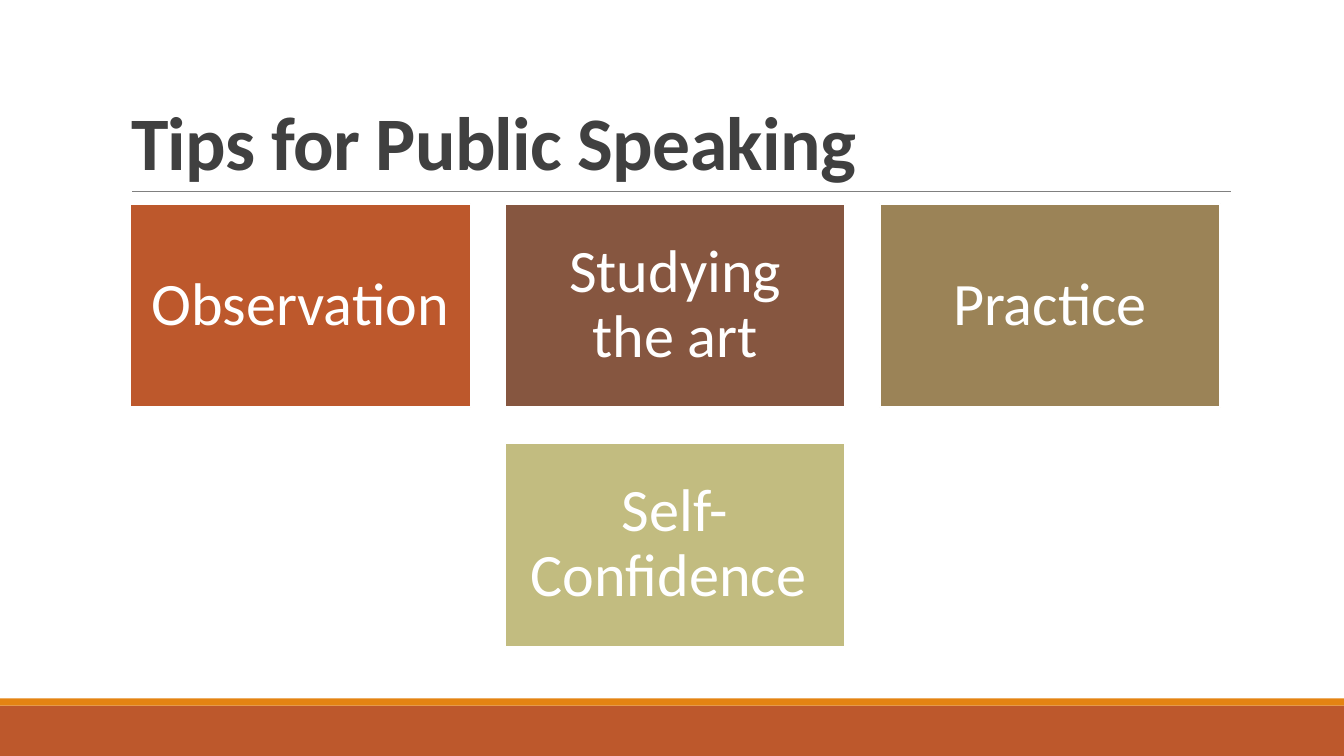
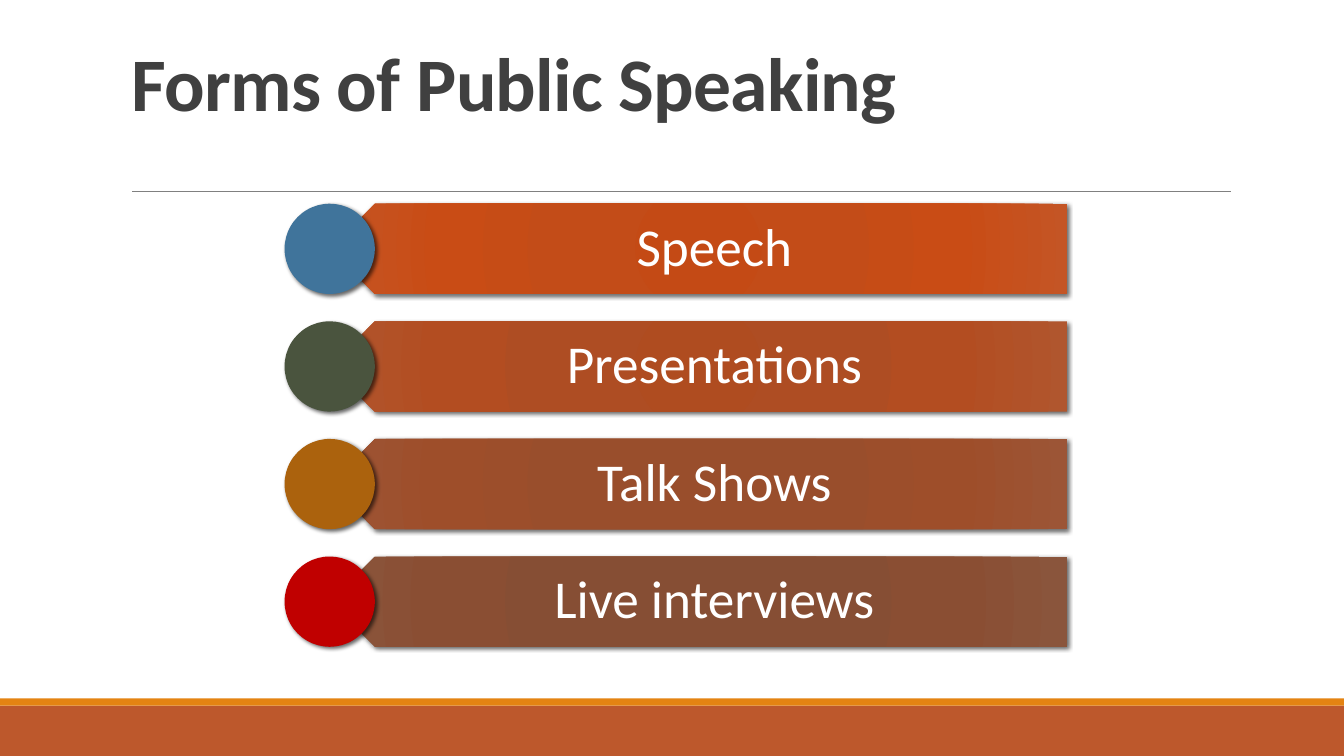
"""Build two slides on public speaking: a tile grid and a list of marked bars."""
from lxml import etree
from pptx import Presentation
from pptx.dml.color import RGBColor as RGB
from pptx.enum.shapes import MSO_CONNECTOR as CONN, MSO_SHAPE as SHAPE
from pptx.enum.text import MSO_ANCHOR as ANCHOR, PP_ALIGN as ALIGN
from pptx.oxml import parse_xml
from pptx.oxml.ns import nsdecls, qn
from pptx.util import Emu, Pt

PX = 9525
WIDTH, HEIGHT = 1280, 720
FONT = "Calibri"

WHITE = RGB(0xFF, 0xFF, 0xFF)
BLACK = RGB(0x00, 0x00, 0x00)
DARK = RGB(0x40, 0x40, 0x40)
GREY = RGB(0x80, 0x80, 0x80)
RUST = RGB(0xBD, 0x58, 0x2C)
ORANGE = RGB(0xE4, 0x83, 0x12)
BROWN = RGB(0x86, 0x56, 0x40)
TAN = RGB(0x9B, 0x83, 0x57)
SAND = RGB(0xC2, 0xBC, 0x80)
BLUE = RGB(0x40, 0x74, 0x9B)
OLIVE = RGB(0x4A, 0x54, 0x3E)
AMBER = RGB(0xAB, 0x62, 0x0D)
RED = RGB(0xC0, 0x00, 0x00)

STOPS = (0, 34, 70, 100)
FLAME = (RGB(0xC4, 0x4A, 0x15), RGB(0xC3, 0x4C, 0x18),
         RGB(0xC9, 0x4C, 0x15), RGB(0xC4, 0x55, 0x25))
BRICK = (RGB(0xAF, 0x4C, 0x20), RGB(0xAE, 0x4D, 0x23),
         RGB(0xB3, 0x4D, 0x21), RGB(0xB0, 0x56, 0x2E))
CLAY = (RGB(0x9A, 0x4C, 0x29), RGB(0x99, 0x4E, 0x2C),
        RGB(0x9E, 0x4E, 0x2A), RGB(0x9C, 0x55, 0x36))
COCOA = (RGB(0x87, 0x4C, 0x32), RGB(0x86, 0x4E, 0x34),
         RGB(0x8A, 0x4E, 0x33), RGB(0x8A, 0x55, 0x3C))

TILES = (("Observation ", RUST, 0, 0), ("Studying the art", BROWN, 1, 0),
         ("Practice", TAN, 2, 0), ("Self-Confidence ", SAND, 1, 1))
BARS = (("Speech", FLAME, BLUE), ("Presentations", BRICK, OLIVE),
        ("Talk Shows", CLAY, AMBER), ("Live interviews", COCOA, RED))


def px(*values):
    return [Emu(v * PX) for v in values]


class Deck:
    def __init__(self):
        self.prs = Presentation()
        self.prs.slide_width, self.prs.slide_height = px(WIDTH, HEIGHT)
        self.s = None

    def slide(self, title, title_height):
        self.s = self.prs.slides.add_slide(self.prs.slide_layouts[6])
        self.shape(SHAPE.RECTANGLE, 0, 672, WIDTH, 48, RUST)
        self.shape(SHAPE.RECTANGLE, 0, 665, WIDTH, 7, ORANGE)
        self.rule(126, 182, 1172)
        tb = self.s.shapes.add_textbox(*px(115, 30, 1056, title_height))
        r = self.text(tb, title, 54, DARK, (10, 5, 10, 5), 0.85, ALIGN.LEFT, ANCHOR.BOTTOM)
        r.font.bold = True
        r.font._element.set("spc", "-50")

    def rule(self, x, y, x2):
        ln = self.s.shapes.add_connector(CONN.STRAIGHT, *px(x, y, x2, y))
        ln.line.color.rgb = GREY
        ln.line.width = Pt(0.5)
        etree.SubElement(ln._element.spPr, qn("a:effectLst"))

    def shape(self, kind, x, y, w, h, fill=None):
        sp = self.s.shapes.add_shape(kind, *px(x, y, w, h))
        sp.shadow.inherit = False
        sp.line.fill.background()
        if fill is not None:
            sp.fill.solid()
            sp.fill.fore_color.rgb = fill
        return sp

    def text(self, sp, words, size, color, insets, spacing=0.9,
             align=ALIGN.CENTER, anchor=ANCHOR.MIDDLE):
        tf = sp.text_frame
        tf.word_wrap = True
        tf.vertical_anchor = anchor
        tf.margin_left, tf.margin_top, tf.margin_right, tf.margin_bottom = px(*insets)
        p = tf.paragraphs[0]
        p.alignment = align
        p.line_spacing = spacing
        r = p.add_run()
        r.text = words
        r.font.name = FONT
        r.font.size = Pt(size)
        r.font.color.rgb = color
        return r

    def tile(self, words, fill, x, y, w, h):
        sp = self.shape(SHAPE.RECTANGLE, x, y, w, h, fill)
        sp.line.color.rgb = WHITE
        sp.line.width = Pt(1.25)
        self.text(sp, words, 43, WHITE, (17, 17, 17, 17))

    def bar(self, words, shades, dot, x, y, w, h):
        sp = self.shape(SHAPE.PENTAGON, x, y, w, h)
        sp.rotation = 180
        self.gradient(sp, shades)
        self.drop_shadow(sp)
        tb = self.s.shapes.add_textbox(*px(x + 22, y, w - 22, h))
        self.text(tb, words, 38, WHITE, (38, 15, 29, 15))
        self.drop_shadow(self.shape(SHAPE.OVAL, x - h // 2, y, h, h, dot))

    def gradient(self, sp, shades):
        stops = "".join(f'<a:gs pos="{pos * 1000}"><a:srgbClr val="{c}"/></a:gs>'
                        for pos, c in zip(STOPS, shades))
        sp._element.spPr.find(qn("a:prstGeom")).addnext(parse_xml(
            f'<a:gradFill {nsdecls("a")} rotWithShape="1"><a:gsLst>{stops}</a:gsLst>'
            '<a:path path="circle"><a:fillToRect l="100000" t="100000" '
            'r="100000" b="100000"/></a:path></a:gradFill>'))

    def drop_shadow(self, sp):
        sp._element.spPr.find(qn("a:effectLst")).append(parse_xml(
            f'<a:outerShdw {nsdecls("a")} blurRad="{Pt(3)}" dist="{Pt(2)}" '
            f'dir="2700000" rotWithShape="0"><a:srgbClr val="{BLACK}">'
            '<a:alpha val="60000"/></a:srgbClr></a:outerShdw>'))


def main():
    deck = Deck()
    deck.slide("Tips for Public Speaking", 152)
    for words, fill, col, row in TILES:
        deck.tile(words, fill, 124 + 357 * col, 194 + 228 * row, 324, 194)
    deck.slide("Forms of Public Speaking", 96)
    for i, (words, shades, dot) in enumerate(BARS):
        deck.bar(words, shades, dot, 314, 194 + 112 * i, 702, 86)
    deck.prs.save("out.pptx")


if __name__ == "__main__":
    main()
